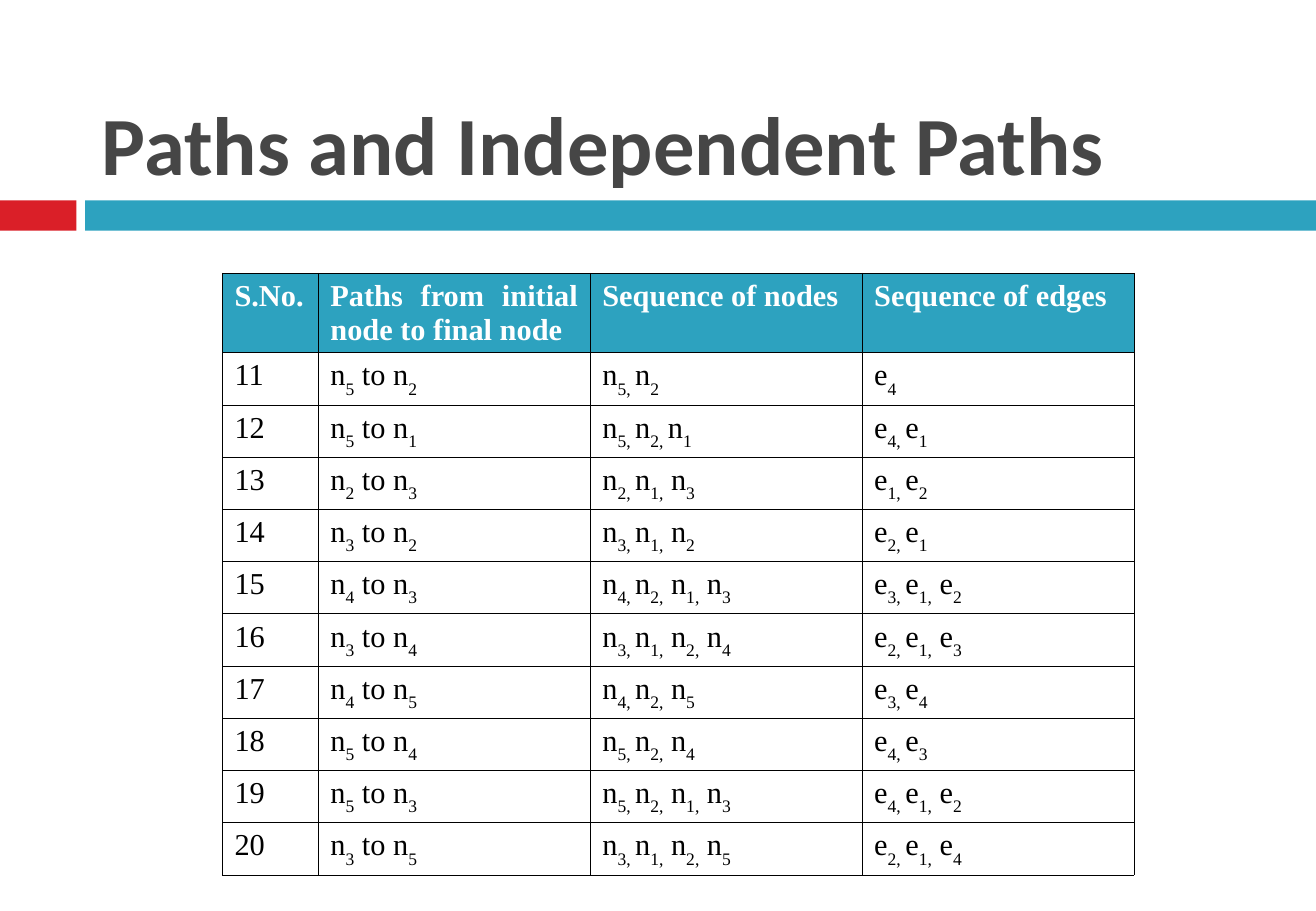
import dataclasses

import lxml.etree
import pptx
import pptx.dml.color
import pptx.enum.shapes
import pptx.enum.text
import pptx.oxml.ns
import pptx.util

RGBColor = pptx.dml.color.RGBColor
Align = pptx.enum.text.PP_ALIGN

RED = RGBColor(0xDA, 0x1F, 0x28)
TEAL = RGBColor(0x2D, 0xA2, 0xBF)
GRAY = RGBColor(0x46, 0x46, 0x46)
WHITE = RGBColor(0xFF, 0xFF, 0xFF)
BLACK = RGBColor(0x00, 0x00, 0x00)

WIDTH = pptx.util.Inches(10.84)
HEIGHT = pptx.util.Inches(7.5)
HEADER_HEIGHT = pptx.util.Inches(0.65)
ROW_HEIGHT = pptx.util.Inches(0.43)
BORDER_WIDTH = pptx.util.Pt(0.45)

Run = tuple[str, bool]  # text, whether it is a subscript


@dataclasses.dataclass(frozen=True)
class Box:
    """A place on the slide, in percent of its width and height."""
    left: float
    top: float
    width: float
    height: float

    def emu(self) -> tuple[int, int, int, int]:
        return (round(WIDTH * self.left / 100), round(HEIGHT * self.top / 100),
                round(WIDTH * self.width / 100), round(HEIGHT * self.height / 100))


@dataclasses.dataclass(frozen=True)
class Bar:
    box: Box
    color: RGBColor


@dataclasses.dataclass(frozen=True)
class Column:
    heading: str
    width: float
    align: Align


@dataclasses.dataclass(frozen=True)
class GraphPath:
    """Node and edge indices in order; low_spaces counts separators set wholly as subscript."""
    number: int
    nodes: str
    edges: str
    low_spaces: int = 1


TITLE_BOX = Box(6.64, 2.27, 89.11, 19.6)
TABLE_BOX = Box(16.9, 30, 69.28, 66)
BARS = [
    Bar(Box(0, 22, 5.81, 3.33), RED),
    Bar(Box(6.46, 22, 93.54, 3.33), TEAL),
]
COLUMNS = [
    Column("S.No.", 0.79, Align.JUSTIFY),
    Column("Paths from initial node to final node", 2.24, Align.LEFT),
    Column("Sequence of nodes", 2.24, Align.LEFT),
    Column("Sequence of edges", 2.24, Align.JUSTIFY),
]
PATHS = [
    GraphPath(11, "52", "4"),
    GraphPath(12, "521", "41", low_spaces=2),
    GraphPath(13, "213", "12"),
    GraphPath(14, "312", "21"),
    GraphPath(15, "4213", "312"),
    GraphPath(16, "3124", "213"),
    GraphPath(17, "425", "34"),
    GraphPath(18, "524", "43"),
    GraphPath(19, "5213", "412"),
    GraphPath(20, "3125", "214"),
]


def write(tf, runs: list[Run], *, font: str, size: float, color: RGBColor,
          bold: bool = False, align: Align = Align.LEFT) -> None:
    p = tf.paragraphs[0]
    p.alignment = align
    for text, low in runs:
        r = p.add_run()
        r.text = text
        r.font.name = font
        r.font.size = pptx.util.Pt(size)
        r.font.bold = bold
        r.font.color.rgb = color
        if low:
            r._r.get_or_add_rPr().set("baseline", "-30000")


def set_margins(target, horizontal: float, vertical: float) -> None:
    target.margin_left = target.margin_right = pptx.util.Inches(horizontal)
    target.margin_top = target.margin_bottom = pptx.util.Inches(vertical)


def sequence(letter: str, indices: str, low_spaces: int) -> list[Run]:
    """Runs such as n5, n2, n1, n3 with indices and commas lowered."""
    runs: list[Run] = []
    for i, index in enumerate(indices):
        runs.append((" " + letter if i > low_spaces else letter, False))
        if i < len(indices) - 1:
            index += ", " if i < low_spaces else ","
        runs.append((index, True))
    return runs


def path_cells(path: GraphPath) -> list[list[Run]]:
    ends = [("n", False), (path.nodes[0], True), (" to n", False), (path.nodes[-1], True)]
    return [[(str(path.number), False)], ends,
            sequence("n", path.nodes, path.low_spaces),
            sequence("e", path.edges, path.low_spaces)]


def add_borders(cell) -> None:
    tc_pr = cell._tc.get_or_add_tcPr()
    qn = pptx.oxml.ns.qn
    for side in ("lnL", "lnR", "lnT", "lnB"):
        ln = lxml.etree.SubElement(tc_pr, qn("a:" + side), w=str(BORDER_WIDTH))
        fill = lxml.etree.SubElement(ln, qn("a:solidFill"))
        lxml.etree.SubElement(fill, qn("a:srgbClr"), val=str(BLACK))


def fill_cell(cell, runs: list[Run], *, align: Align, header: bool) -> None:
    set_margins(cell, 0.1, 0.05)
    add_borders(cell)
    if header:
        cell.fill.solid()
        cell.fill.fore_color.rgb = TEAL
    else:
        cell.fill.background()
    write(cell.text_frame, runs, font="Times New Roman", size=18,
          color=WHITE if header else BLACK, bold=header, align=align)


def add_bar(slide, bar: Bar) -> None:
    sp = slide.shapes.add_shape(pptx.enum.shapes.MSO_SHAPE.RECTANGLE, *bar.box.emu())
    sp.shadow.inherit = False
    sp.fill.solid()
    sp.fill.fore_color.rgb = bar.color
    sp.line.fill.background()


def format_title(title) -> None:
    title.left, title.top, title.width, title.height = TITLE_BOX.emu()
    tf = title.text_frame
    tf.word_wrap = True
    tf.auto_size = pptx.enum.text.MSO_AUTO_SIZE.NONE
    tf.vertical_anchor = pptx.enum.text.MSO_ANCHOR.BOTTOM
    set_margins(tf, 0.12, 0.06)
    write(tf, [("Paths and Independent Paths", False)],
          font="Calibri", size=49, color=GRAY, bold=True)


def add_path_table(slide) -> None:
    frame = slide.shapes.add_table(len(PATHS) + 1, len(COLUMNS), *TABLE_BOX.emu())
    table = frame.table
    table.first_row = table.horz_banding = False
    for i, column in enumerate(COLUMNS):
        table.columns[i].width = pptx.util.Inches(column.width)
        fill_cell(table.cell(0, i), [(column.heading, False)],
                  align=Align.JUSTIFY, header=True)
    table.rows[0].height = HEADER_HEIGHT
    for row, path in enumerate(PATHS, start=1):
        table.rows[row].height = ROW_HEIGHT
        for i, (column, runs) in enumerate(zip(COLUMNS, path_cells(path))):
            fill_cell(table.cell(row, i), runs, align=column.align, header=False)


def main() -> None:
    prs = pptx.Presentation()
    prs.slide_width, prs.slide_height = WIDTH, HEIGHT
    slide = prs.slides.add_slide(prs.slide_layouts.get_by_name("Title Only"))
    for bar in BARS:
        add_bar(slide, bar)
    format_title(slide.shapes.title)
    add_path_table(slide)
    prs.save("out.pptx")


if __name__ == "__main__":
    main()
